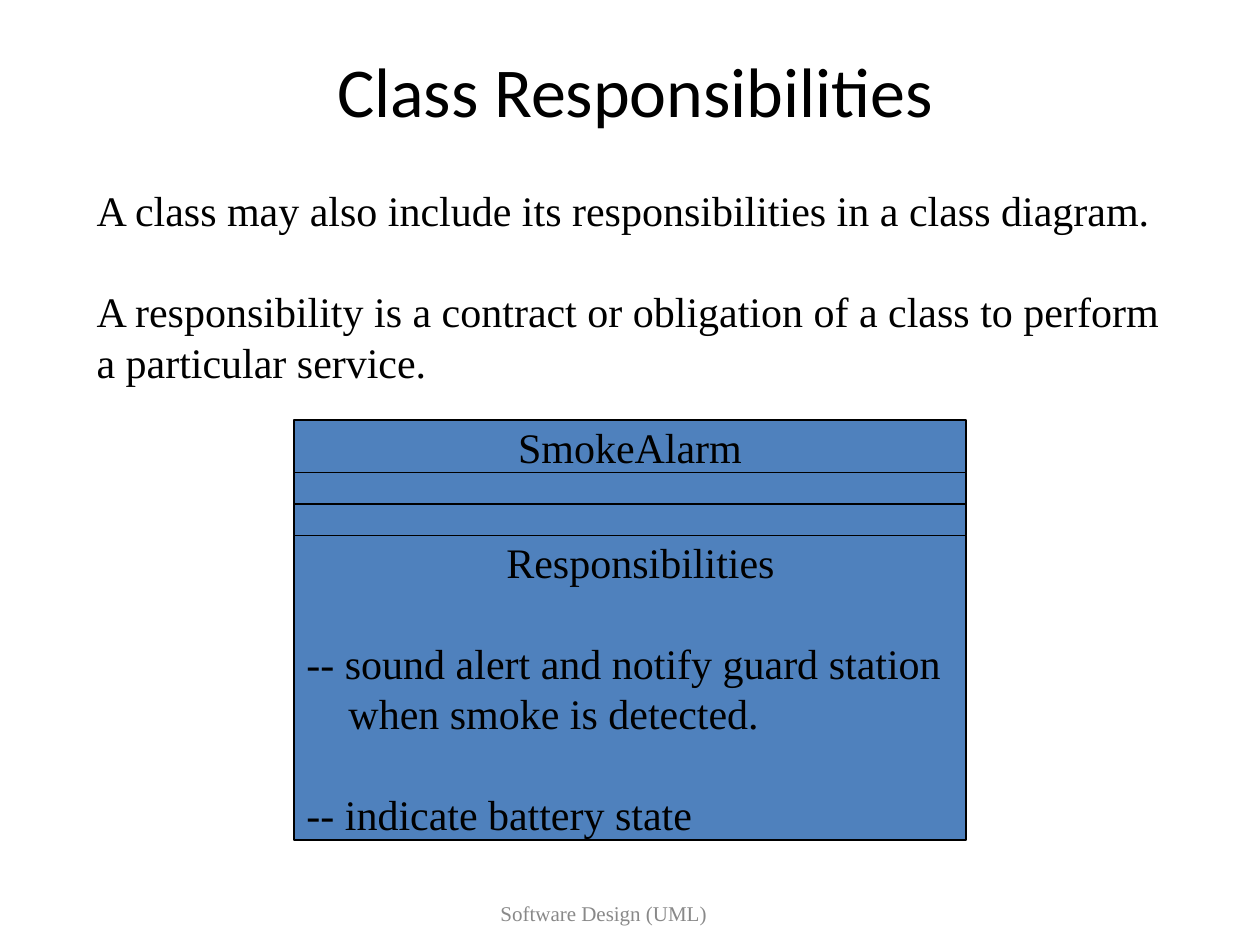
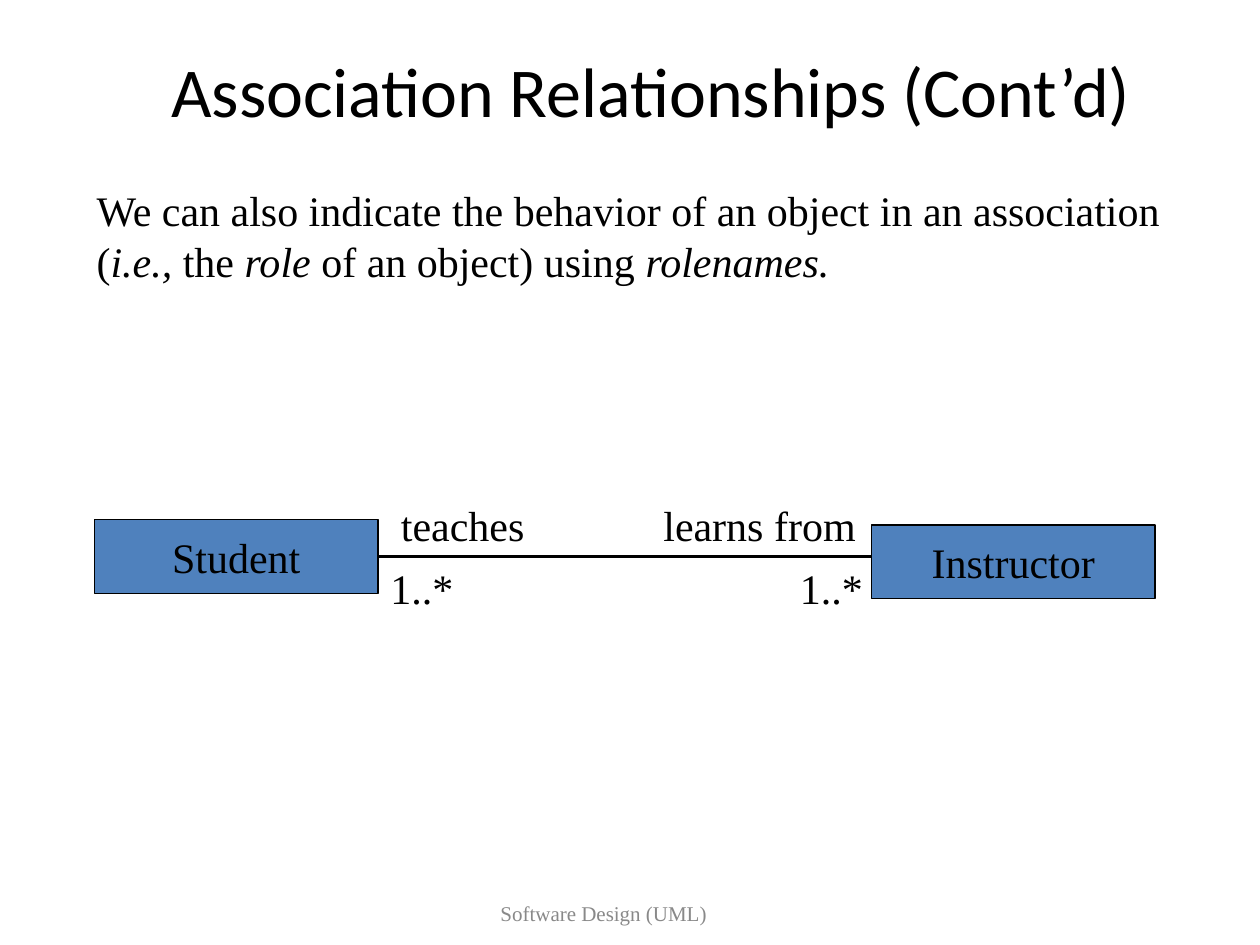
import pptx
import pptx.dml.color
import pptx.enum.shapes
import pptx.enum.text
import pptx.oxml
import pptx.oxml.ns
import pptx.util

EMU_PER_PX = 9525  # 96 px to the inch
BLACK, GREY, BLUE = "000000", "898989", "4F81BD"
SERIF, SANS = "Times New Roman", "Calibri"
TEXT_SIZE = 24
LINE_RATIO = 1.2
CENTER = pptx.enum.text.PP_ALIGN.CENTER
LEFT = pptx.enum.text.PP_ALIGN.LEFT
TOP = pptx.enum.text.MSO_ANCHOR.TOP
MIDDLE = pptx.enum.text.MSO_ANCHOR.MIDDLE


def px(length):
    return pptx.util.Emu(length * EMU_PER_PX)


def color(hex_text):
    return pptx.dml.color.RGBColor.from_string(hex_text)


def place(box, left, top, width, height):
    box.left, box.top, box.width, box.height = map(px, (left, top, width, height))


def set_indent(para, left, hanging=0):
    properties = para._p.get_or_add_pPr()
    properties.set("marL", str(px(left)))
    properties.set("indent", str(px(-hanging)))


def write_text(box, paras, size=TEXT_SIZE, font=SERIF, hex_text=BLACK,
               align=LEFT, anchor=TOP, gap=0, leading=LINE_RATIO):
    """Fill a box with paragraphs, each a string or a list of (text, italic)."""
    frame = box.text_frame
    frame.auto_size = pptx.enum.text.MSO_AUTO_SIZE.NONE
    frame.word_wrap = True
    frame.vertical_anchor = anchor
    for index, spans in enumerate(paras):
        para = frame.add_paragraph() if index else frame.paragraphs[0]
        para.alignment = align
        para.space_before = pptx.util.Pt(gap if index else 0)
        if leading:
            para.line_spacing = pptx.util.Pt(size * leading)
        if isinstance(spans, str):
            spans = [(spans, False)]
        for text, italic in spans:
            span = para.add_run()
            span.text = text
            span.font.name = font
            span.font.size = pptx.util.Pt(size)
            span.font.italic = italic
            span.font.color.rgb = color(hex_text)
    return frame.paragraphs


def add_label(page, text, left, top, width, height, **text_format):
    box = page.shapes.add_textbox(*map(px, (left, top, width, height)))
    write_text(box, [text], **text_format)


def add_page(deck, title, title_left, title_width, body, body_width, body_height):
    """Add a slide with its title, unbulleted body text and the shared footer."""
    page = deck.slides.add_slide(deck.slide_layouts[1])
    title_box, body_box = page.placeholders
    place(title_box, title_left, 40, title_width, 56)
    write_text(title_box, [title], size=40, font=SANS, align=CENTER,
               anchor=MIDDLE, leading=None)
    place(body_box, 64, 136, body_width, body_height)
    for para in write_text(body_box, body, gap=TEXT_SIZE * LINE_RATIO):
        set_indent(para, 0)
        para._p.get_or_add_pPr().append(pptx.oxml.parse_xml(
            f"<a:buNone {pptx.oxml.ns.nsdecls('a')}/>"))
    add_label(page, "Software Design (UML)", 248, 672, 424, 48, size=12,
              hex_text=GREY, align=CENTER, anchor=MIDDLE)
    return page


def add_class_box(shapes, left, top, width, height, name=None):
    box = shapes.add_shape(pptx.enum.shapes.MSO_SHAPE.RECTANGLE,
                           *map(px, (left, top, width, height)))
    box.shadow.inherit = False
    box.fill.solid()
    box.fill.fore_color.rgb = color(BLUE)
    box.line.color.rgb = color(BLACK)
    box.line.width = pptx.util.Pt(0.75)
    if name:
        write_text(box, [name], align=CENTER, anchor=MIDDLE)
    return box


def add_class_diagram(page, name, duties):
    """Stack the name, attribute, operation and responsibility compartments."""
    shapes = page.shapes.add_group_shape().shapes
    top = 320
    for height, heading in ((40, name), (24, None), (24, None), (232, None)):
        box = add_class_box(shapes, 224, top, 512, height, heading)
        top += height
    heading, *items = write_text(box, ["Responsibilities"] + duties,
                                 anchor=MIDDLE, gap=TEXT_SIZE * LINE_RATIO)
    heading.alignment = CENTER
    set_indent(heading, 16)
    for item in items:
        set_indent(item, 32, hanging=32)


def add_association(page, source, end_x, y):
    line = page.shapes.add_connector(pptx.enum.shapes.MSO_CONNECTOR.STRAIGHT,
                                     source.left + source.width, px(y), px(end_x), px(y))
    line.begin_connect(source, 3)
    line.line.color.rgb = color(BLACK)
    line.line.width = pptx.util.Pt(2.25)
    line._element.spPr.append(pptx.oxml.parse_xml(
        f"<a:effectLst {pptx.oxml.ns.nsdecls('a')}/>"))


def add_responsibilities_page(deck):
    page = add_page(deck, "Class Responsibilities", 72, 824, [
        "A class may also include its responsibilities in a class diagram.",
        "A responsibility is a contract or obligation of a class to perform "
        "a particular service."], 840, 163)
    add_class_diagram(page, "SmokeAlarm", [
        "-- sound alert and notify guard station when smoke is detected.",
        "-- indicate battery state"])


def add_association_page(deck):
    page = add_page(deck, "Association Relationships (Cont’d)", 64, 864, [[
        ("We can also indicate the behavior of an object in an association (", False),
        ("i.e.,", True), (" the ", False), ("role ", True),
        ("of an object) using ", False), ("rolenames.", True)]], 852, 86)
    student = add_class_box(page.shapes, 72, 396, 216, 56, "Student")
    add_association(page, student, 664, 424)
    add_class_box(page.shapes, 664, 400, 216, 56, "Instructor")
    for text, left, top, width in (("1..*", 600, 424, 72), ("1..*", 288, 424, 72),
                                   ("learns from", 496, 376, 168),
                                   ("teaches", 296, 376, 120)):
        add_label(page, text, left, top, width, 48)


def main():
    deck = pptx.Presentation()
    deck.slide_width, deck.slide_height = px(960), px(720)
    add_responsibilities_page(deck)
    add_association_page(deck)
    deck.save("out.pptx")


if __name__ == "__main__":
    main()
